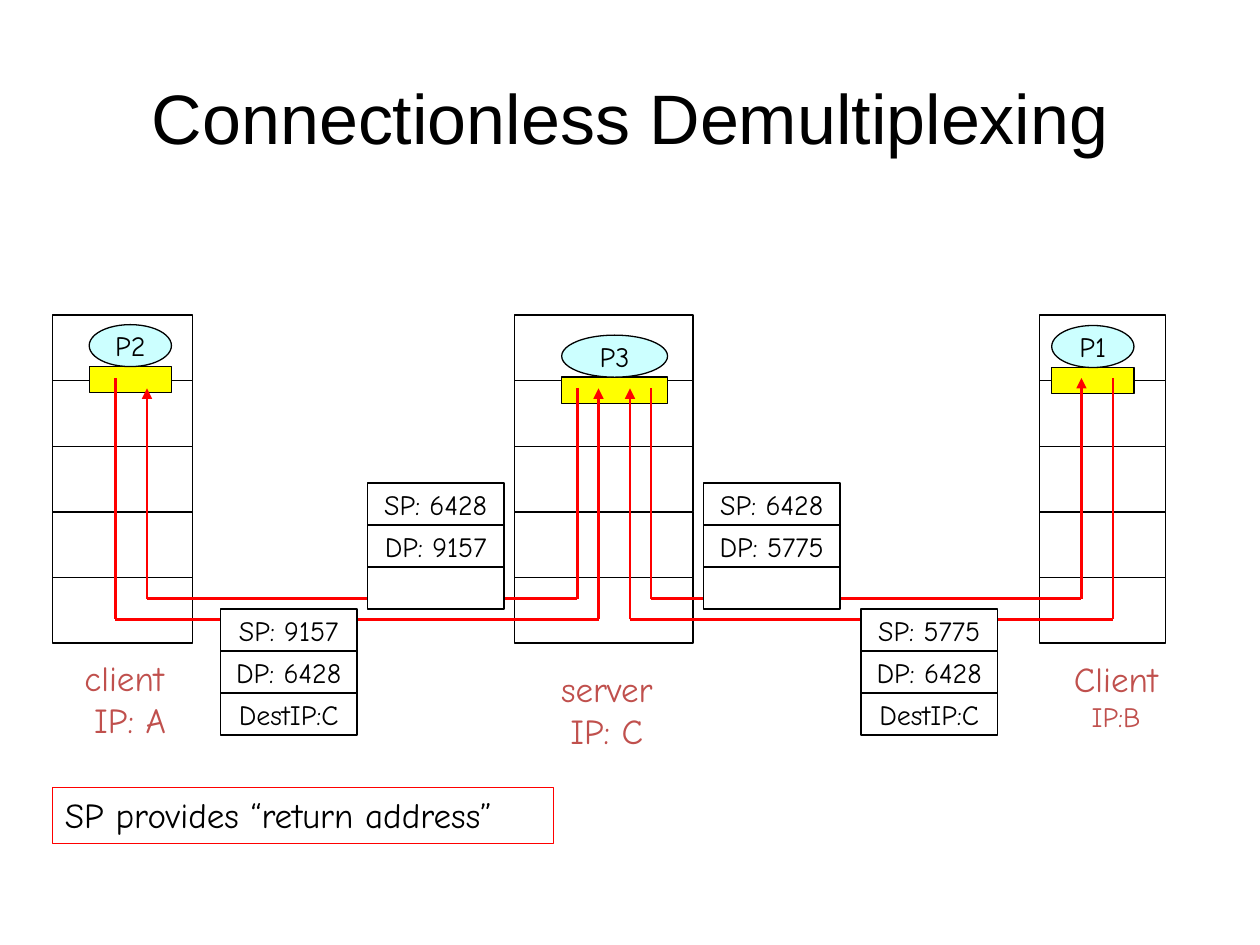
"""Build the Connectionless Demultiplexing slide."""
import pptx
import pptx.dml.color
import pptx.enum.shapes
import pptx.enum.text
import pptx.util
from lxml import etree
from pptx.oxml.ns import qn

Pt = pptx.util.Pt
SHAPE = pptx.enum.shapes.MSO_SHAPE
ALIGN = pptx.enum.text.PP_ALIGN
ANCHOR = pptx.enum.text.MSO_ANCHOR
COLORS = {
    name: pptx.dml.color.RGBColor.from_string(value)
    for name, value in {
        "black": "000000", "white": "FFFFFF", "socket": "FFFF00",
        "process": "CCFFFF", "route": "FF0000", "host": "C0504D",
    }.items()
}


def write_text(frame, text, sizes=(16,), font="Comic Neue", color="black",
               align=ALIGN.CENTER, anchor=ANCHOR.MIDDLE, wrap=False):
    frame.word_wrap = wrap
    frame.vertical_anchor = anchor
    frame.text = text
    for paragraph, size in zip(frame.paragraphs, sizes):
        paragraph.alignment = align
        paragraph.font.size = Pt(size)
        paragraph.font.name = font
        paragraph.font.color.rgb = COLORS[color]


def add_box(left, top, width, height, fill="white", line="black", kind=SHAPE.RECTANGLE):
    box = slide.shapes.add_shape(kind, Pt(left), Pt(top), Pt(width), Pt(height))
    box.shadow.inherit = False
    if fill:
        box.fill.solid()
        box.fill.fore_color.rgb = COLORS[fill]
    else:
        box.fill.background()
    box.line.color.rgb = COLORS[line]
    box.line.width = Pt(0.75)
    return box


deck = pptx.Presentation()
deck.slide_width, deck.slide_height = Pt(720), Pt(540)
slide = deck.slides.add_slide(deck.slide_layouts[5])

title = slide.shapes.title
title.left, title.top, title.width, title.height = Pt(36), Pt(21.6), Pt(648), Pt(90)
write_text(title.text_frame, "Connectionless Demultiplexing", sizes=(40,), font="Arial", wrap=True)

layer_count, layer_height = 5, 37.5
hosts = [
    (30, 80, "P2", 51, 185.5, 47),
    (594, 72, "P1", 601, 186, 47),
    (294, 102, "P3", 321, 191.5, 60.5),
]
for host_left, host_width, process, process_left, process_top, process_width in hosts:
    for layer in range(layer_count):
        add_box(host_left, 180 + layer * layer_height, host_width, layer_height)
    add_box(process_left, process_top + 24, process_width, 15, fill="socket")
    oval = add_box(process_left, process_top, process_width, 24, fill="process", kind=SHAPE.OVAL)
    write_text(oval.text_frame, process)

routes = [
    (66, 216, 354, 342, 222),
    (330, 222, 342, 84, 222),
    (636, 216, 354, 360, 222),
    (372, 222, 342, 618, 216),
]
for start_x, start_y, depth, end_x, end_y in routes:
    corners = [(start_x, start_y), (start_x, depth), (end_x, depth), (end_x, end_y)]
    for begin, end in zip(corners, corners[1:]):
        segment = slide.shapes.add_connector(
            pptx.enum.shapes.MSO_CONNECTOR.STRAIGHT, *map(Pt, begin + end))
        segment.line.color.rgb = COLORS["route"]
        segment.line.width = Pt(1.5)
        if end == corners[-1]:
            etree.SubElement(segment.line._get_or_add_ln(), qn("a:tailEnd"), type="triangle")
        etree.SubElement(segment._element.spPr, qn("a:effectLst"))

packets = [
    (210, 276, ["SP: 6428", "DP: 9157", ""]),
    (126, 348, ["SP: 9157", "DP: 6428", "DestIP:C"]),
    (402, 276, ["SP: 6428", "DP: 5775", ""]),
    (492, 348, ["SP: 5775", "DP: 6428", "DestIP:C"]),
]
for packet_left, packet_top, fields in packets:
    for row, field in enumerate(fields):
        cell = add_box(packet_left, packet_top + row * 24, 78, 24)
        if field:
            write_text(cell.text_frame, field)

host_labels = [
    (36.75, 371.5, 68.5, 55.5, "client\n IP: A", (20, 20)),
    (309, 378, 75.5, 55.5, "server\nIP: C", (20, 20)),
    (603.5, 372, 68.5, 50.5, "Client\nIP:B", (20, 16)),
]
for left, top, width, height, label, sizes in host_labels:
    host_label = slide.shapes.add_textbox(Pt(left), Pt(top), Pt(width), Pt(height))
    write_text(host_label.text_frame, label, sizes=sizes, color="host", anchor=ANCHOR.TOP)

note = add_box(30, 450, 286.5, 32, fill=None, line="route")
write_text(note.text_frame, "SP provides “return address”", sizes=(20,),
           align=ALIGN.LEFT, anchor=ANCHOR.TOP, wrap=True)

deck.save("out.pptx")
